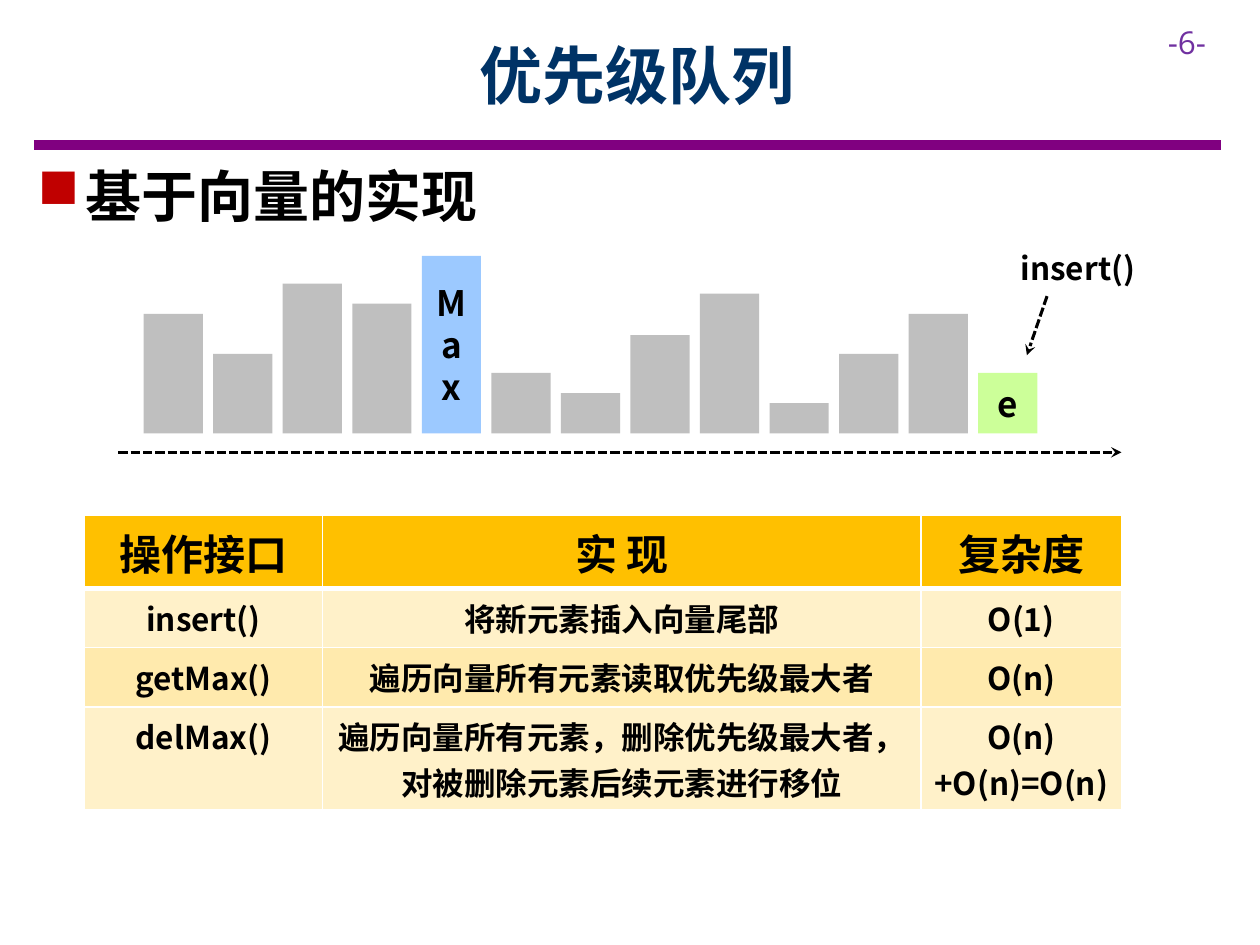
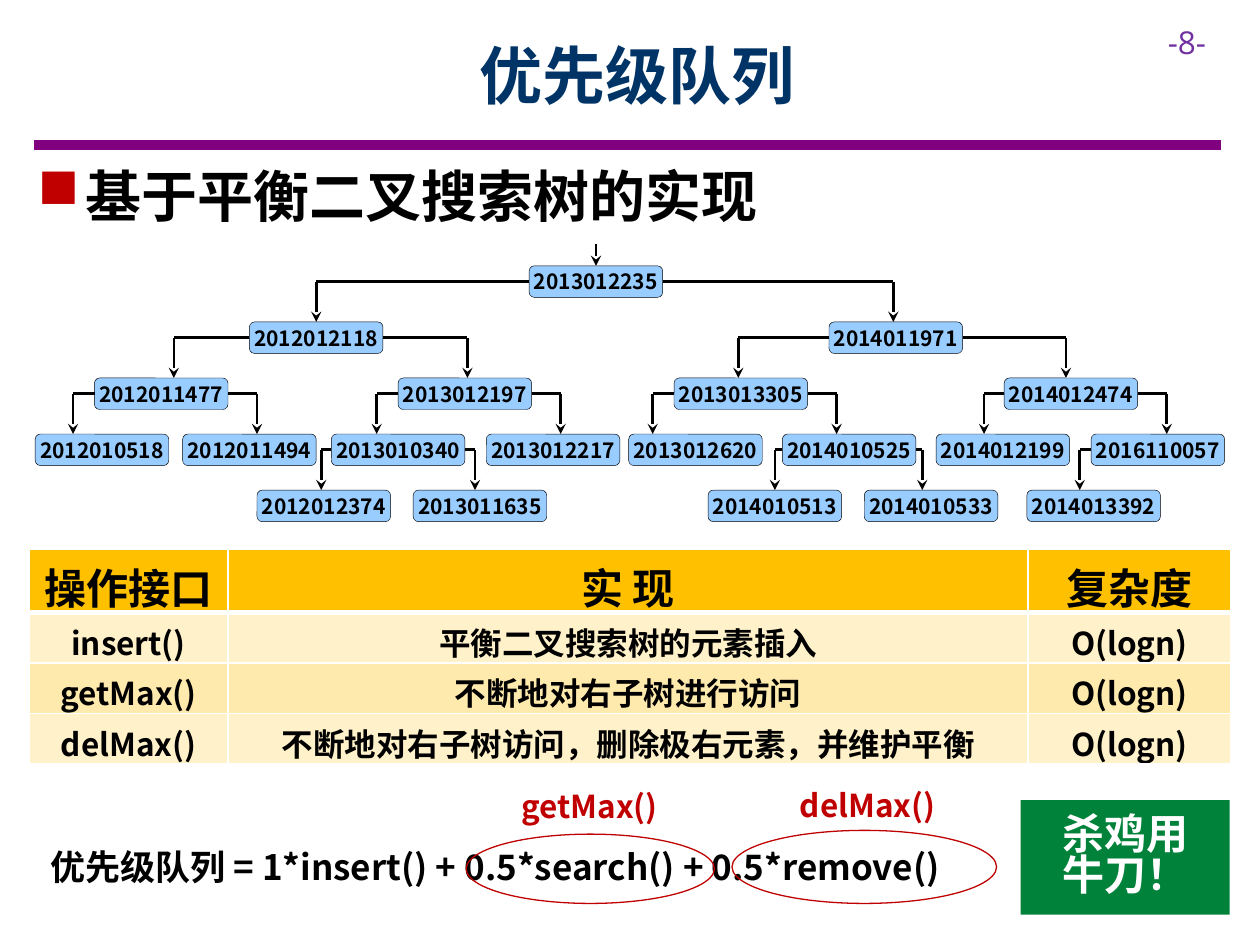
from dataclasses import dataclass
from typing import Optional

from lxml import etree
from pptx import Presentation
from pptx.dml.color import RGBColor
from pptx.enum.dml import MSO_LINE
from pptx.enum.shapes import MSO_CONNECTOR, MSO_SHAPE
from pptx.enum.text import MSO_ANCHOR, PP_ALIGN
from pptx.oxml.ns import qn
from pptx.util import Inches, Pt

RECT, ROUND, OVAL = MSO_SHAPE.RECTANGLE, MSO_SHAPE.ROUNDED_RECTANGLE, MSO_SHAPE.OVAL
STRAIGHT, DASH = MSO_CONNECTOR.STRAIGHT, MSO_LINE.SQUARE_DOT
LEFT, CENTER = PP_ALIGN.LEFT, PP_ALIGN.CENTER
TOP, MIDDLE = MSO_ANCHOR.TOP, MSO_ANCHOR.MIDDLE

WIDTH, HEIGHT = Inches(10), Inches(7.5)
COLS, ROWS = 100, 75
FONT, NUMBER_FONT = "Noto Sans CJK SC", "Open Sans"
BLACK, WHITE, RED, GOLD = "000000", "FFFFFF", "C00000", "FFC000"
NAVY, PURPLE, VIOLET = "003366", "800080", "7030A0"
GRAY, SKY, BLUE, LIME, GREEN = "BFBFBF", "9CC9FF", "99CCFF", "CCFF99", "00823B"
HEADER = ("操作接口", "实 现", "复杂度")


@dataclass
class Box:
    x: float
    y: float
    w: float
    h: float

    def emu(self) -> tuple:
        return col(self.x), row(self.y), col(self.w), row(self.h)


@dataclass
class Bar:
    h: float
    color: str = GRAY
    label: str = ""


@dataclass
class Node:
    key: str
    level: int
    x: float
    drop: float
    parent: Optional[str] = None

    @property
    def top(self) -> float:
        return 21.1 + 4.45 * self.level


NODE_W, NODE_H = 10.6, 2.5
BAR_X, BAR_STEP, BAR_W, BAR_BASE = 11.4, 5.52, 4.7, 34.4

BARS = [
    Bar(9.5), Bar(6.3), Bar(11.9), Bar(10.3), Bar(14.1, SKY, "Max"),
    Bar(4.8), Bar(3.2), Bar(7.8), Bar(11.1), Bar(2.4),
    Bar(6.3), Bar(9.5), Bar(4.8, LIME, "e"),
]

NODES = [
    Node("2013012235", 0, 42, 47.3),
    Node("2012012118", 1, 19.8, 25.1, "2013012235"),
    Node("2014011971", 1, 65.8, 70.9, "2013012235"),
    Node("2012011477", 2, 7.5, 13.8, "2012012118"),
    Node("2013012197", 2, 31.6, 37.1, "2012012118"),
    Node("2013013305", 2, 53.5, 58.6, "2014011971"),
    Node("2014012474", 2, 79.7, 84.6, "2014011971"),
    Node("2012010518", 3, 2.8, 5.8, "2012011477"),
    Node("2012011494", 3, 14.5, 20.4, "2012011477"),
    Node("2013010340", 3, 26.3, 29.9, "2013012197"),
    Node("2013012217", 3, 38.6, 44.5, "2013012197"),
    Node("2013012620", 3, 49.9, 51.8, "2013013305"),
    Node("2014010525", 3, 62.1, 66.4, "2013013305"),
    Node("2014012199", 3, 74.3, 78.1, "2014012474"),
    Node("2016110057", 3, 86.6, 92.6, "2014012474"),
    Node("2012012374", 4, 20.4, 25.5, "2013010340"),
    Node("2013011635", 4, 32.8, 37.7, "2013010340"),
    Node("2014010513", 4, 56.2, 61.5, "2014010525"),
    Node("2014010533", 4, 68.6, 73.2, "2014010525"),
    Node("2014013392", 4, 81.5, 85.7, "2016110057"),
]


def col(n: float) -> int:
    return round(WIDTH * n / COLS)


def row(n: float) -> int:
    return round(HEIGHT * n / ROWS)


def rgb(color: str) -> RGBColor:
    return RGBColor.from_string(color)


def sub(parent, tag: str, **attrs):
    return etree.SubElement(parent, qn(tag), attrs)


def set_fill(fill, color: str, alpha: int = 100) -> None:
    fill.solid()
    fill.fore_color.rgb = rgb(color)
    if alpha < 100:
        clr = fill.fore_color._xFill.find(qn("a:srgbClr"))
        sub(clr, "a:alpha", val=str(alpha * 1000))


def write(tf, text: str, *, size: float = 18, color: str = BLACK, bold: bool = True,
          font: str = FONT, align=LEFT, anchor=TOP, wrap: bool = True,
          insets: tuple = (0.1, 0.05), spacing: Optional[float] = None) -> None:
    tf.word_wrap = wrap
    tf.vertical_anchor = anchor
    tf.margin_left = tf.margin_right = Inches(insets[0])
    tf.margin_top = tf.margin_bottom = Inches(insets[1])
    for i, line in enumerate(text.split("\n")):
        p = tf.add_paragraph() if i else tf.paragraphs[0]
        p.alignment = align
        p.line_spacing = spacing
        r = p.add_run()
        r.text = line
        r.font.size, r.font.bold, r.font.name = Pt(size), bold, font
        r.font.color.rgb = rgb(color)
        sub(r.font._element, "a:ea", typeface=font)


def add_text(slide, box: Box, text: str, **fmt):
    sp = slide.shapes.add_textbox(*box.emu())
    write(sp.text_frame, text, **fmt)
    return sp


def add_shape(slide, kind, box: Box, fill: str = "", line: str = "",
              weight: float = 0.75, text: str = "", **fmt) -> None:
    sp = slide.shapes.add_shape(kind, *box.emu())
    sp.shadow.inherit = False
    if fill:
        set_fill(sp.fill, fill)
    else:
        sp.fill.background()
    if line:
        sp.line.color.rgb = rgb(line)
        sp.line.width = Pt(weight)
    else:
        sp.line.fill.background()
    if text:
        write(sp.text_frame, text, align=CENTER, anchor=MIDDLE, **fmt)


def add_line(slide, start: tuple, end: tuple, color: str = BLACK, weight: float = 1.5,
             dash=None, arrow: bool = False) -> None:
    sp = slide.shapes.add_connector(STRAIGHT, col(start[0]), row(start[1]),
                                    col(end[0]), row(end[1]))
    sp.line.color.rgb = rgb(color)
    sp.line.width = Pt(weight)
    if dash:
        sp.line.dash_style = dash
    sp_pr = sp._element.spPr
    if arrow:
        sub(sp_pr.find(qn("a:ln")), "a:tailEnd", type="stealth")
    sub(sp_pr, "a:effectLst")


def set_borders(cell, top: float, bottom: float) -> None:
    tc_pr = cell._tc.get_or_add_tcPr()
    for side, weight in (("L", 1), ("R", 1), ("T", top), ("B", bottom)):
        ln = sub(tc_pr, f"a:ln{side}", w=str(Pt(weight)))
        sub(sub(ln, "a:solidFill"), "a:srgbClr", val=WHITE)


def add_table(slide, box: Box, widths: tuple, heights: tuple, body: list) -> None:
    rows = [HEADER, *body]
    frame = slide.shapes.add_table(len(rows), len(HEADER), *box.emu())
    table = frame.table
    table.horz_banding = False
    for column, w in zip(table.columns, widths):
        column.width = col(w)
    for i, (texts, h) in enumerate(zip(rows, heights)):
        table.rows[i].height = row(h)
        alpha = 100 if i == 0 else 21 if i % 2 else 32
        for j, text in enumerate(texts):
            cell = table.cell(i, j)
            set_borders(cell, 3 if i == 1 else 1, 3 if i == 0 else 1)
            set_fill(cell.fill, GOLD, alpha)
            write(cell.text_frame, text, size=18 if i else 24, align=CENTER)
    frame.height = row(box.h)


def add_base(prs, number: int, heading: str):
    slide = prs.slides.add_slide(prs.slide_layouts[6])
    add_line(slide, (2.7, 11.5), (96.9, 11.5), PURPLE, 6)
    add_text(slide, Box(91.7, 1.3, 8.3, 4), f"-{number}-",
             color=VIOLET, bold=False, font=NUMBER_FONT)
    add_text(slide, Box(9, 0.9, 83.1, 10), "优先级队列",
             size=36, color=NAVY, align=CENTER, anchor=MIDDLE)
    sp = add_text(slide, Box(2, 12.3, 80, 6.4), heading, size=32)
    p = sp.text_frame.paragraphs[0]
    p.space_after = Pt(6)
    p_pr = p._p.get_or_add_pPr()
    p_pr.set("marL", str(col(3.8)))
    p_pr.set("indent", str(-col(3.8)))
    sub(sub(p_pr, "a:buClr"), "a:srgbClr", val=RED)
    sub(p_pr, "a:buFont", typeface="Wingdings")
    sub(p_pr, "a:buChar", char="n")
    return slide


def build_vector_slide(prs) -> None:
    slide = add_base(prs, 6, "基于向量的实现")
    add_table(slide, Box(6.7, 40.9, 82.3, 23.4), (18.9, 47.5, 15.9), (5.8, 4.7, 4.7, 8.2), [
        ("insert()", "将新元素插入向量尾部", "O(1)"),
        ("getMax()", "遍历向量所有元素读取优先级最大者", "O(n)"),
        ("delMax()", "遍历向量所有元素，删除优先级最大者，对被删除元素后续元素进行移位",
         "O(n)+O(n)=O(n)"),
    ])
    for i, bar in enumerate(BARS):
        box = Box(BAR_X + i * BAR_STEP, BAR_BASE - bar.h, BAR_W, bar.h)
        add_shape(slide, RECT, box, bar.color, text=bar.label, size=20, insets=(0.1, 0.1))
    add_line(slide, (9.4, 35.9), (89, 35.9), weight=1.75, dash=DASH, arrow=True)
    add_text(slide, Box(79.9, 19.3, 11.3, 4), "insert()", align=CENTER, wrap=False)
    add_line(slide, (83.1, 23.5), (81.5, 28.2), weight=1.75, dash=DASH, arrow=True)


def draw_tree(slide) -> None:
    by_key = {n.key: n for n in NODES}
    for n in NODES:
        start_y = 19.4
        if n.parent:
            up = by_key[n.parent]
            start_y = up.top + NODE_H / 2
            side = up.x if n.drop < up.x else up.x + NODE_W
            add_line(slide, (side, start_y), (n.drop, start_y))
        add_line(slide, (n.drop, start_y), (n.drop, n.top), arrow=True)
        add_shape(slide, ROUND, Box(n.x, n.top, NODE_W, NODE_H), BLUE, BLACK, 0.25,
                  n.key, size=12, insets=(0, 0.1))


def build_tree_slide(prs) -> None:
    slide = add_base(prs, 8, "基于平衡二叉搜索树的实现")
    add_table(slide, Box(2.3, 43.6, 95.4, 17), (15.8, 63.5, 16.1), (4.6, 2.9, 3.2, 3.2), [
        ("insert()", "平衡二叉搜索树的元素插入", "O(logn)"),
        ("getMax()", "不断地对右子树进行访问", "O(logn)"),
        ("delMax()", "不断地对右子树访问，删除极右元素，并维护平衡", "O(logn)"),
    ])
    draw_tree(slide)
    add_text(slide, Box(3, 66.6, 76.2, 4.4),
             "优先级队列 = 1*insert() + 0.5*search() + 0.5*remove()", size=20, wrap=False)
    for ring, label, text in (
        (Box(37, 66.2, 19.7, 5.5), Box(40.4, 62, 13.7, 4), "getMax()"),
        (Box(58.1, 65.9, 21, 5.8), Box(62.5, 61.9, 13.4, 4), "delMax()"),
    ):
        add_shape(slide, OVAL, ring, line=RED)
        add_text(slide, label, text, color=RED, wrap=False)
    add_shape(slide, RECT, Box(81, 63.5, 16.6, 9.1), GREEN, text="杀鸡用\n牛刀！",
              size=24, color=WHITE, spacing=0.83)


def main() -> None:
    prs = Presentation()
    prs.slide_width, prs.slide_height = WIDTH, HEIGHT
    build_vector_slide(prs)
    build_tree_slide(prs)
    prs.save("out.pptx")


if __name__ == "__main__":
    main()
